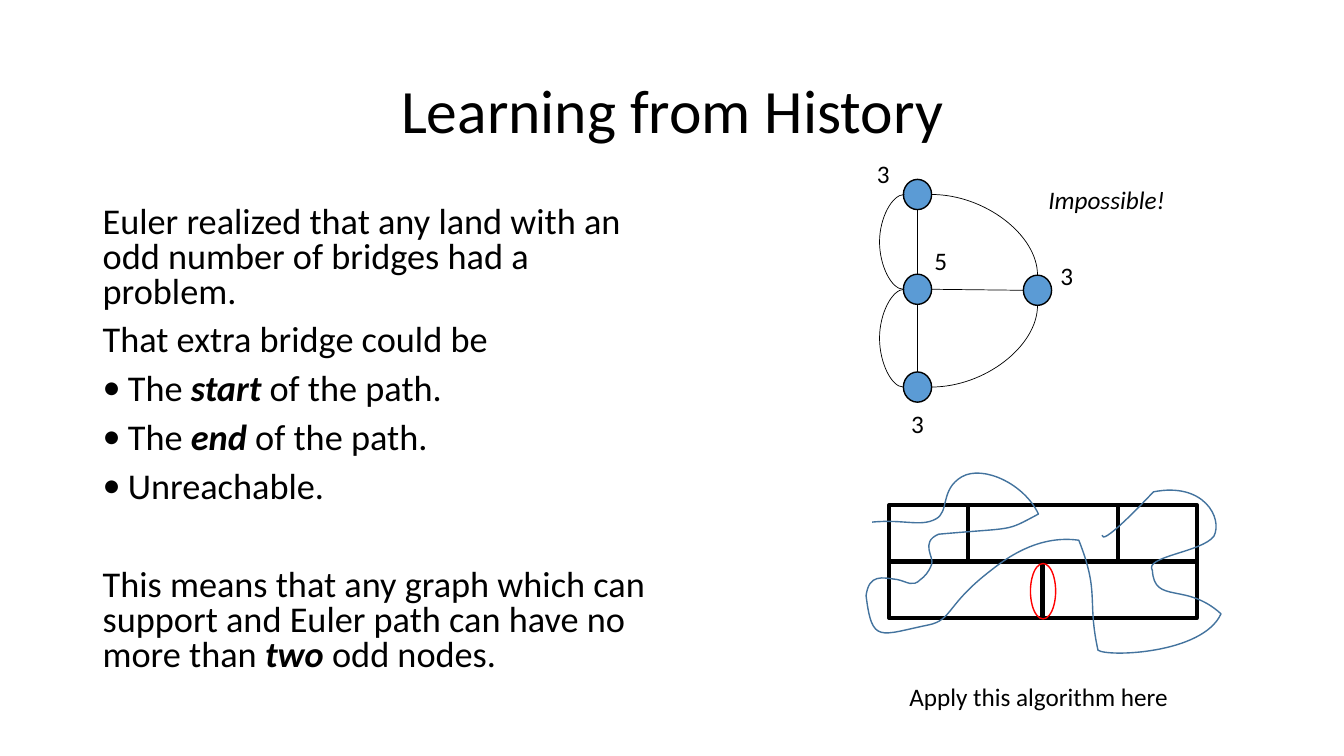
"""Build the slide on odd nodes and Euler paths, laid out on a grid of one-inch cells."""
import itertools

import pptx
import pptx.dml.color
import pptx.enum.shapes
import pptx.enum.text
import pptx.oxml
import pptx.oxml.ns
import pptx.util

COLUMNS, ROWS = 13.33, 7.5
CELL = pptx.util.Inches(1)
FONT = "Calibri"
COLORS = {"ink": "000000", "node": "5B9BD5", "walk": "43739E", "wall": "FF0000"}
SHAPES = pptx.enum.shapes.MSO_SHAPE
CONNECTORS = pptx.enum.shapes.MSO_CONNECTOR
ALIGN = pptx.enum.text.PP_ALIGN
ANCHOR = pptx.enum.text.MSO_ANCHOR

NODE_WIDTH, NODE_HEIGHT = 0.28, 0.3
LAND_X, EAST_X = 9.1, 10.29
NORTH_Y, ISLAND_Y, SOUTH_Y, EAST_Y = 1.93, 2.87, 3.84, 2.88
HOUSE_X, HOUSE_Y, ROOM_HEIGHT = 8.82, 5.01, 0.56
ROOM_ROWS = [(0.78, 1.49, 0.78), (1.52, 1.53)]
WALK_START = (8.65, 5.18)
WALK_CURVES = [
    (8.97, 5.15, 9.13, 5.23, 9.28, 5.15), (9.42, 5.08, 9.32, 4.86, 9.54, 4.73),
    (9.75, 4.61, 10.16, 4.8, 10.3, 5.1), (9.96, 5.28, 10.09, 5.23, 9.31, 5.3),
    (9.12, 5.38, 9.27, 5.53, 9.24, 5.6), (9.21, 5.68, 9.17, 5.72, 9.13, 5.75),
    (9.05, 5.83, 9, 5.77, 8.9, 5.75), (8.75, 5.73, 8.62, 5.69, 8.59, 5.91),
    (8.65, 6.39, 8.72, 6.3, 9.21, 6.2), (9.45, 6.15, 9.38, 6, 9.84, 5.65),
    (10.04, 5.49, 10.34, 5.31, 10.7, 5.36), (10.91, 5.89, 10.78, 5.95, 10.89, 6.45),
    (10.98, 6.52, 11.93, 6.49, 12.11, 6.09), (11.76, 5.77, 11.45, 6, 11.43, 5.66),
    (11.34, 5.52, 11.92, 5.48, 12.04, 5.32), (12.13, 5.14, 11.94, 4.78, 11.44, 4.88),
    (11.26, 5.07, 10.93, 5.41, 10.93, 5.31),
]
LESSON = [
    ("", ["Euler realized that any land with an odd number of bridges had a problem."], 10),
    ("", ["That extra bridge could be"], 10),
    ("•", ["The ", "start", " of the path."], 10),
    ("•", ["The ", "end ", "of the path."], 10),
    ("•", ["Unreachable."], 10),
    ("", ["This means that any graph which can support and Euler path can have no more than ",
          "two ", "odd nodes."], 45),
]


def cells(*lengths):
    """Turn grid cells into slide lengths."""
    return [round(length * CELL) for length in lengths]


def color(name):
    """Look up a named colour."""
    return pptx.dml.color.RGBColor.from_string(COLORS[name])


def drawing(tag, attributes=""):
    """Make one drawing element."""
    return pptx.oxml.parse_xml(f'<a:{tag} {pptx.oxml.ns.nsdecls("a")} {attributes}/>')


def outline(element, name, points):
    """Give an outline its colour and width."""
    element.line.color.rgb = color(name)
    element.line.width = pptx.util.Pt(points)


def text_frame(slide, *place):
    """Add a wrapping text box and return its frame."""
    frame = slide.shapes.add_textbox(*cells(*place)).text_frame
    frame.word_wrap = True
    return frame


def write(paragraph, words, size, bold=False, italic=False):
    """Add one run."""
    run = paragraph.add_run()
    run.text = words
    run.font.name = FONT
    run.font.size = pptx.util.Pt(size)
    run.font.color.rgb = color("ink")
    run.font.bold, run.font.italic = bold, italic


def label(slide, place, words, align=ALIGN.CENTER, italic=False):
    """Add a one-line label."""
    paragraph = text_frame(slide, *place).paragraphs[0]
    paragraph.alignment = align
    write(paragraph, words, 18, italic=italic)


def title(slide):
    """Add the heading."""
    frame = text_frame(slide, 0.92, 0.4, 11.5, 1.45)
    frame.vertical_anchor = ANCHOR.MIDDLE
    heading = frame.paragraphs[0]
    heading.alignment = ALIGN.CENTER
    heading.line_spacing = 0.9
    write(heading, "Learning from History", 44)


def lesson(slide):
    """Add the explanation, with every second run emphasised."""
    frame = text_frame(slide, 0.92, 2, 5.67, 4.76)
    for index, (bullet, phrases, gap) in enumerate(LESSON):
        paragraph = frame.add_paragraph() if index else frame.paragraphs[0]
        paragraph.line_spacing = 0.8
        paragraph.space_before = pptx.util.Pt(gap)
        if bullet:
            properties = paragraph._p.get_or_add_pPr()
            indent = pptx.util.Inches(0.25)
            properties.set("marL", str(indent))
            properties.set("indent", str(-indent))
            properties.append(drawing("buFont", f'typeface="{FONT}"'))
            properties.append(drawing("buChar", f'char="{bullet}"'))
        for phrase, strong in zip(phrases, itertools.cycle([False, True])):
            write(paragraph, phrase, 25.9, strong, strong)


def figure(slide, preset, place, line, points, fill=None):
    """Add a preset shape, hollow unless a fill is named."""
    shape = slide.shapes.add_shape(preset, *cells(*place))
    shape.shadow.inherit = False
    if fill:
        shape.fill.solid()
        shape.fill.fore_color.rgb = color(fill)
    else:
        shape.fill.background()
    outline(shape, line, points)


def bridge(slide, start, end, preset=None, bend=None):
    """Join two points, straight or by a curved preset."""
    kind = CONNECTORS.CURVE if preset else CONNECTORS.STRAIGHT
    connector = slide.shapes.add_connector(kind, *cells(*start, *end))
    outline(connector, "ink", 0.5)
    properties = connector._element.spPr
    properties.append(drawing("effectLst"))
    if preset:
        geometry = properties.find(pptx.oxml.ns.qn("a:prstGeom"))
        geometry.set("prst", preset)
        if bend:
            geometry.get_or_add_avLst().append(
                drawing("gd", f'name="adj1" fmla="val {bend}"'))


def bridge_graph(slide):
    """Draw the lands, their bridges and their degrees."""
    right, top = NODE_WIDTH / 2, NODE_HEIGHT / 2
    lands = [(LAND_X, NORTH_Y), (LAND_X, ISLAND_Y), (LAND_X, SOUTH_Y), (EAST_X, EAST_Y)]
    for x, y in lands:
        figure(slide, SHAPES.OVAL, (x - right, y - top, NODE_WIDTH, NODE_HEIGHT),
               "ink", 1, "node")
    for upper, lower in [(NORTH_Y, ISLAND_Y), (ISLAND_Y, SOUTH_Y)]:
        bridge(slide, (LAND_X, upper + top), (LAND_X, lower - top))
        west = LAND_X - right
        bridge(slide, (west + 0.01, upper), (west, lower), "curvedConnector3", 2500000)
    for bank, shore in [(NORTH_Y, EAST_Y - top), (SOUTH_Y, EAST_Y + top)]:
        bridge(slide, (LAND_X + right, bank), (EAST_X, shore), "curvedConnector2")
    bridge(slide, (LAND_X + right, ISLAND_Y), (EAST_X - right, EAST_Y))
    for x, y, degree in [(8.48, 1.52, "3"), (10.3, 2.53, "3"), (8.82, 4, "3"), (9.05, 2.38, "5")]:
        label(slide, (x, y, 0.56, 0.4), degree)
    label(slide, (10.3, 1.78, 2.44, 0.4), "Impossible!", ALIGN.LEFT, True)


def walk(slide):
    """Draw the path through the rooms as cubic curves."""
    points = [cells(*pair) for curve in WALK_CURVES for pair in zip(curve[::2], curve[1::2])]
    builder = slide.shapes.build_freeform(*cells(*WALK_START))
    builder.add_line_segments(points, close=False)
    trail = builder.convert_to_shape()
    trail.shadow.inherit = False
    trail.fill.background()
    outline(trail, "walk", 1)
    track = next(trail._element.iter(pptx.oxml.ns.qn("a:path")))
    steps = track.findall(pptx.oxml.ns.qn("a:lnTo"))
    for first in range(0, len(steps), 3):
        curve = drawing("cubicBezTo")
        track.append(curve)
        for step in steps[first:first + 3]:
            curve.append(step[0])
            track.remove(step)


def house(slide):
    """Draw the rooms, the walk and the wall it misses."""
    for row, widths in enumerate(ROOM_ROWS):
        lefts = itertools.accumulate(widths, initial=HOUSE_X)
        for left, width in zip(lefts, widths):
            place = (left, HOUSE_Y + row * ROOM_HEIGHT, width, ROOM_HEIGHT)
            figure(slide, SHAPES.RECTANGLE, place, "ink", 3)
    label(slide, (8.92, 6.71, 2.87, 0.4), "Apply this algorithm here", ALIGN.LEFT)
    walk(slide)
    figure(slide, SHAPES.OVAL, (10.22, 5.59, 0.25, 0.55), "wall", 1)


def main():
    """Build and save the slide."""
    deck = pptx.Presentation()
    deck.slide_width, deck.slide_height = cells(COLUMNS, ROWS)
    slide = deck.slides.add_slide(deck.slide_layouts[6])
    for part in (title, lesson, bridge_graph, house):
        part(slide)
    deck.save("out.pptx")


main()
